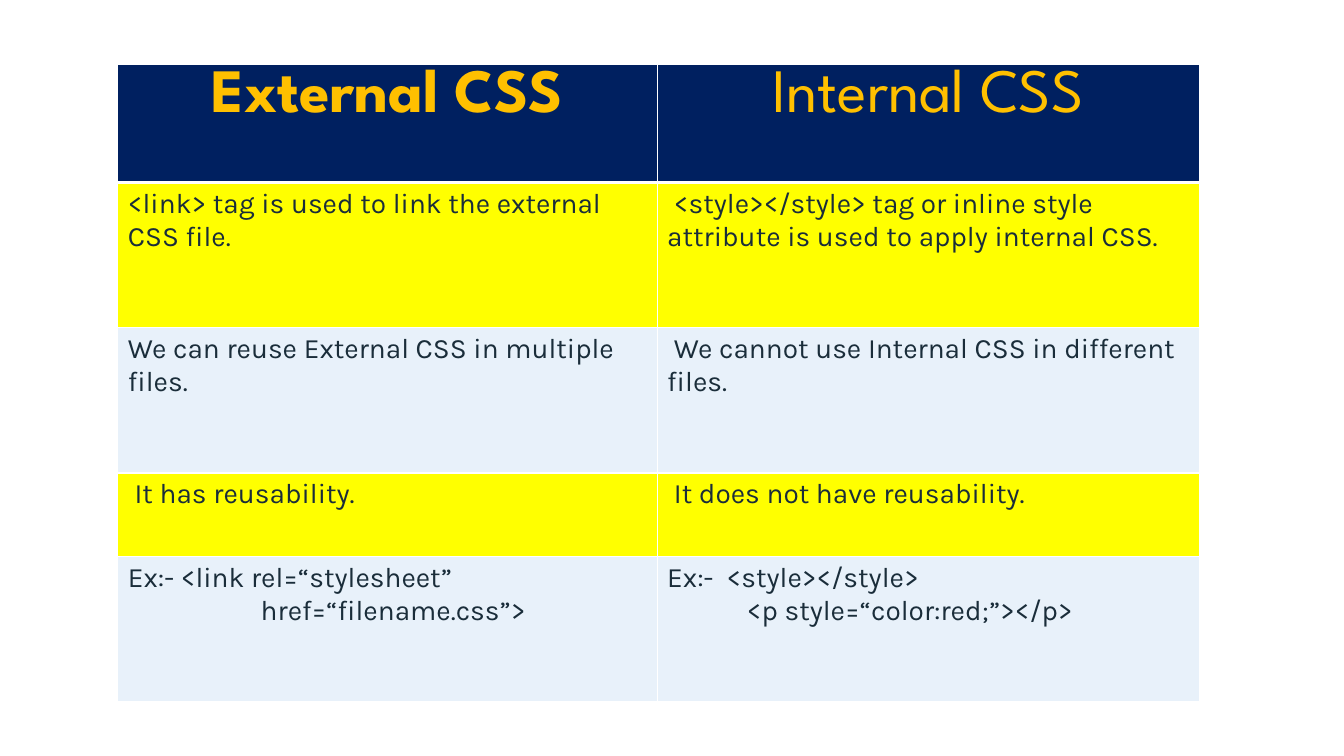
from lxml.etree import SubElement
from pptx import Presentation
from pptx.dml.color import RGBColor
from pptx.enum.text import PP_ALIGN as Align
from pptx.oxml.ns import qn
from pptx.util import Cm, Pt

COLORS = {
    "navy": "002060",
    "yellow": "FFFF00",
    "pale": "E8F1FA",
    "gold": "FFC000",
    "ink": "1A2D3A",
    "white": "FFFFFF",
}
HEADINGS = ["External CSS", "Internal CSS"]
COMPARISON = [
    ("<link> tag is used to link the external CSS file.",
     "<style></style> tag or inline style attribute is used to apply internal CSS."),
    ("We can reuse External CSS in multiple files.",
     "We cannot use Internal CSS in different files."),
    ("It has reusability.", "It does not have reusability."),
    ("Ex:- <link rel=“stylesheet”\n                    href=“filename.css”>",
     "Ex:-  <style></style>\n            <p style=“color:red;”></p>"),
]
INDENTED_CELLS = {(1, 1), (2, 1), (3, 0), (3, 1)}
ROW_SHARES = [2.97, 3.66, 3.66, 2.11, 3.66]
COLUMN_SHARES = [13.59, 13.67]


def color(name):
    """Return the named palette colour."""
    return RGBColor.from_string(COLORS[name])


def add_borders(cell, bottom):
    """Draw white cell borders, with the given bottom width in points."""
    properties = cell._tc.get_or_add_tcPr()
    for side, width in (("L", 1), ("R", 1), ("T", 1), ("B", bottom)):
        line = SubElement(properties, qn(f"a:ln{side}"), w=str(Pt(width)))
        fill = SubElement(line, qn("a:solidFill"))
        SubElement(fill, qn("a:srgbClr"), val=COLORS["white"])


def style_cell(cell, text, fill, bottom=1):
    """Write the cell text and set its borders and fill."""
    cell.text = text
    add_borders(cell, bottom)
    cell.fill.solid()
    cell.fill.fore_color.rgb = color(fill)


def style_font(paragraph, name, size, ink, bold=False):
    """Set the font of a whole paragraph."""
    font = paragraph.font
    font.name, font.size, font.bold = name, Pt(size), bold
    font.color.rgb = color(ink)


def fill_header(table):
    """Fill the heading row, with the first heading in bold."""
    for column, heading in enumerate(HEADINGS):
        cell = table.cell(0, column)
        style_cell(cell, heading, "navy", bottom=3)
        paragraph = cell.text_frame.paragraphs[0]
        paragraph.alignment = Align.CENTER
        style_font(paragraph, "League Spartan", 44, "gold", bold=column == 0)


def fill_body(table):
    """Fill the comparison rows in alternating colours."""
    for row, texts in enumerate(COMPARISON, start=1):
        for column, text in enumerate(texts):
            cell = table.cell(row, column)
            style_cell(cell, text, "yellow" if row % 2 else "pale")
            for paragraph in cell.text_frame.paragraphs:
                if (row, column) in INDENTED_CELLS:
                    paragraph._p.get_or_add_pPr().set("indent", str(Cm(0.17)))
                style_font(paragraph, "Karla", 20, "ink")


def add_comparison(slide, left, top, width, height):
    """Place the comparison table in the given box."""
    table = slide.shapes.add_table(
        len(ROW_SHARES), len(COLUMN_SHARES), left, top, width, height).table
    table.first_row = table.horz_banding = False
    for row, share in zip(table.rows, ROW_SHARES):
        row.height = int(height * share / sum(ROW_SHARES))
    for column, share in zip(table.columns, COLUMN_SHARES):
        column.width = int(width * share / sum(COLUMN_SHARES))
    fill_header(table)
    fill_body(table)


def main():
    """Build and save the presentation."""
    presentation = Presentation()
    presentation.slide_width, presentation.slide_height = Cm(33.87), Cm(19.05)
    slide = presentation.slides.add_slide(presentation.slide_layouts[6])
    add_comparison(slide, Cm(2.97), Cm(1.63), Cm(27.26), Cm(16.06))
    presentation.save("out.pptx")


if __name__ == "__main__":
    main()
